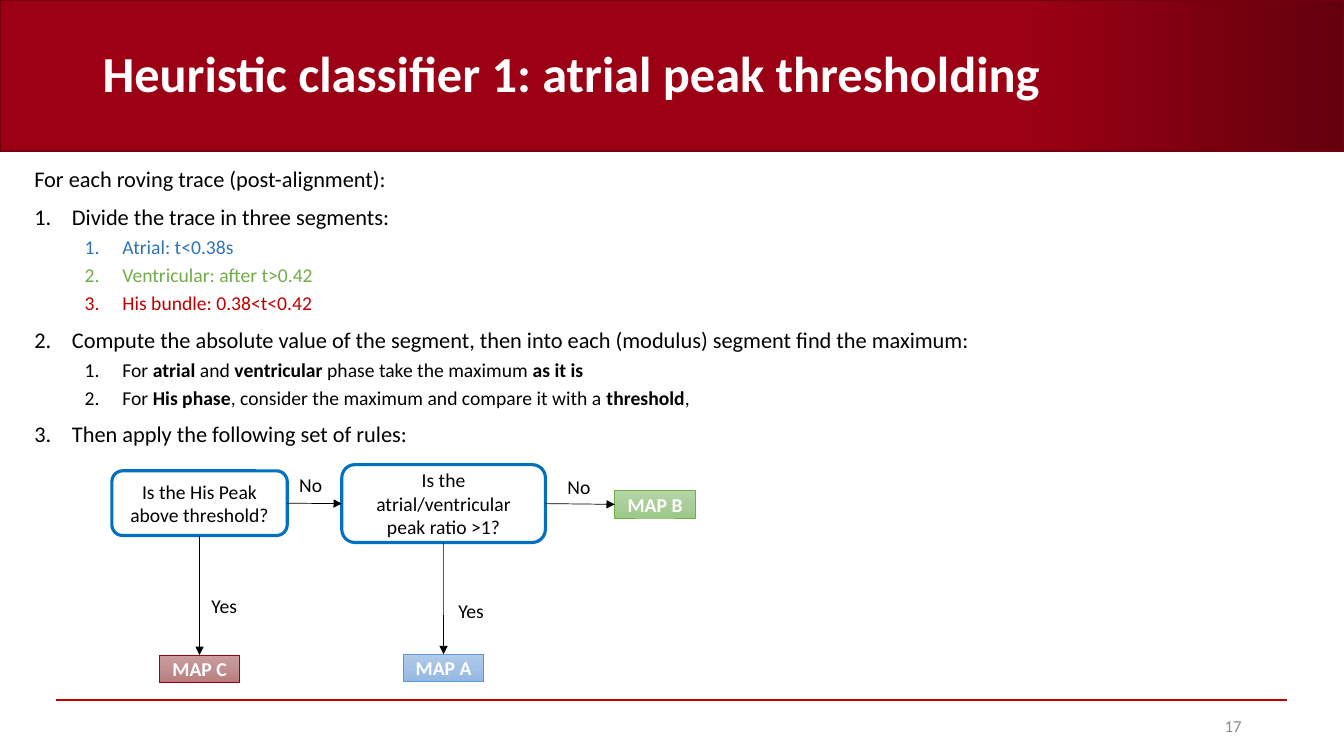
import collections

import lxml.etree
import pptx
import pptx.dml.color
import pptx.enum.shapes
import pptx.enum.text
import pptx.oxml.ns
import pptx.util

Cm = pptx.util.Cm
Pt = pptx.util.Pt
RGBColor = pptx.dml.color.RGBColor
ShapeType = pptx.enum.shapes.MSO_SHAPE
Align = pptx.enum.text.PP_ALIGN
Anchor = pptx.enum.text.MSO_ANCHOR
qn = pptx.oxml.ns.qn

Box = collections.namedtuple("Box", "left top width height")

FONT = "Calibri"
WHITE = RGBColor(0xFF, 0xFF, 0xFF)
BLACK = RGBColor(0x00, 0x00, 0x00)
GREY = RGBColor(0x8C, 0x8C, 0x8C)
BANNER_RED = RGBColor(0x9B, 0x00, 0x14)
BANNER_DARK = RGBColor(0x64, 0x00, 0x0C)
BANNER_EDGE = RGBColor(0x73, 0x00, 0x0F)
RED = RGBColor(0xC0, 0x00, 0x00)
GREEN = RGBColor(0x70, 0xAD, 0x47)
ATRIAL_BLUE = RGBColor(0x2E, 0x75, 0xB6)
QUESTION_BLUE = RGBColor(0x00, 0x70, 0xC0)
MAP_BLUE = RGBColor(0x5B, 0x9B, 0xD5)
BLUE_SHADES = [RGBColor(0xB1, 0xCB, 0xE9), RGBColor(0xA3, 0xC1, 0xE5), RGBColor(0x93, 0xB9, 0xE4)]
GREEN_SHADES = [RGBColor(0xB5, 0xD5, 0xA7), RGBColor(0xAA, 0xCE, 0x9A), RGBColor(0x9C, 0xC9, 0x87)]
RED_SHADES = [RGBColor(0xCC, 0x9D, 0x9E), RGBColor(0xC1, 0x90, 0x91), RGBColor(0xB9, 0x7C, 0x7D)]

TOP, LEFT, BOTTOM, RIGHT = range(4)

# Level (None for the unnumbered lead), colour, text with *bold* parts
STEPS = [
    (None, BLACK, "For each roving trace (post-alignment):"),
    (0, BLACK, "Divide the trace in three segments:"),
    (1, ATRIAL_BLUE, "Atrial: t<0.38s"),
    (1, GREEN, "Ventricular: after t>0.42"),
    (1, RED, "His bundle: 0.38<t<0.42"),
    (0, BLACK, "Compute the absolute value of the segment, then into each (modulus) segment find the maximum:"),
    (1, BLACK, "For *atrial* and *ventricular* phase take the maximum *as it is*"),
    (1, BLACK, "For *His phase*, consider the maximum and compare it with a *threshold*,"),
    (0, BLACK, "Then apply the following set of rules:"),
]


def place(shape, box):
    shape.left, shape.top, shape.width, shape.height = map(Cm, box)


def format_paragraph(paragraph, size, color, bold=None, alignment=Align.LEFT):
    font = paragraph.font
    font.name, font.size, font.bold = FONT, Pt(size), bold
    font.color.rgb = color
    paragraph.alignment = alignment


def set_gradient(shape, stops, angle):
    """Fill with (percent, colour) stops; the angle runs counterclockwise."""
    shape.fill.gradient()
    shape.fill.gradient_angle = angle
    stop_list = shape.element.spPr.find(qn("a:gradFill")).find(qn("a:gsLst"))
    for stop in list(stop_list):
        stop_list.remove(stop)
    for percent, color in stops:
        stop = lxml.etree.SubElement(stop_list, qn("a:gs"), pos=str(percent * 1000))
        lxml.etree.SubElement(stop, qn("a:srgbClr"), val=str(color))


def add_outlined(slide, kind, box, color, width):
    shape = slide.shapes.add_shape(kind, *map(Cm, box))
    shape.shadow.inherit = False
    shape.line.color.rgb = color
    shape.line.width = Pt(width)
    return shape


def add_line(slide, start, end, color, width):
    line = slide.shapes.add_connector(
        pptx.enum.shapes.MSO_CONNECTOR.STRAIGHT, *map(Cm, start + end))
    line.line.color.rgb = color
    line.line.width = Pt(width)
    lxml.etree.SubElement(line.element.spPr, qn("a:effectLst"))
    return line


def add_arrow(slide, source, source_side, target, target_side):
    arrow = add_line(slide, (0, 0), (0, 0), BLACK, 0.5)
    arrow.begin_connect(source, source_side)
    arrow.end_connect(target, target_side)
    lxml.etree.SubElement(arrow.line._get_or_add_ln(), qn("a:tailEnd"), type="triangle")


def add_text(slide, box, text, size, color, alignment=Align.LEFT, anchor=Anchor.TOP):
    frame = slide.shapes.add_textbox(*map(Cm, box)).text_frame
    frame.word_wrap = True
    frame.vertical_anchor = anchor
    frame.text = text
    format_paragraph(frame.paragraphs[0], size, color, alignment=alignment)


def add_banner(slide, box):
    banner = add_outlined(slide, ShapeType.RECTANGLE, box, BANNER_EDGE, 1)
    set_gradient(banner, [(76, BANNER_RED), (100, BANNER_DARK)], 0)

    title = slide.shapes.title
    slide.shapes.element.append(title.element)  # in front of the banner
    place(title, Box(box.left + 2.33, box.top + 0.58, 27.5, 2.7))
    title.text_frame.text = "Heuristic classifier 1: atrial peak thresholding"
    title.text_frame.vertical_anchor = Anchor.MIDDLE
    paragraph = title.text_frame.paragraphs[0]
    paragraph.line_spacing = 0.9
    format_paragraph(paragraph, 36, WHITE, bold=True)


def set_numbering(paragraph, level):
    properties = paragraph._p.get_or_add_pPr()
    indent = 0 if level is None else Cm(0.95)
    properties.set("marL", str(indent + Cm(1.27) * (level or 0)))
    properties.set("indent", str(-indent))
    if level is None:
        lxml.etree.SubElement(properties, qn("a:buNone"))
    else:
        lxml.etree.SubElement(properties, qn("a:buFont"), typeface="+mj-lt")
        lxml.etree.SubElement(properties, qn("a:buAutoNum"), type="arabicPeriod")


def fill_steps(body, box):
    place(body, box)
    frame = body.text_frame
    frame.auto_size = pptx.enum.text.MSO_AUTO_SIZE.NONE
    for index, (level, color, text) in enumerate(STEPS):
        paragraph = frame.add_paragraph() if index else frame.paragraphs[0]
        paragraph.level = level or 0
        paragraph.line_spacing = 0.9
        paragraph.space_before = Pt(5 if level else 10)
        set_numbering(paragraph, level)
        format_paragraph(paragraph, 14 if level else 16, color)
        for part, words in enumerate(text.split("*")):
            if words:
                run = paragraph.add_run()
                run.text = words
                if part % 2:
                    run.font.bold = True


def add_flowchart(slide, box):
    def add_node(kind, center, size, text, edge, edge_width, color, bold=None):
        (x, y), (width, height) = center, size
        node_box = Box(box.left + x - width / 2, box.top + y - height / 2, width, height)
        node = add_outlined(slide, kind, node_box, edge, edge_width)
        node.fill.background()
        node.text_frame.text = text
        node.text_frame.vertical_anchor = Anchor.MIDDLE
        format_paragraph(node.text_frame.paragraphs[0], 14, color, bold, Align.CENTER)
        return node

    def add_question(center, size, text):
        return add_node(ShapeType.ROUNDED_RECTANGLE, center, size, text, QUESTION_BLUE, 2.25, BLACK)

    def add_map(center, text, edge, shades):
        node = add_node(ShapeType.RECTANGLE, center, (2.03, 0.69), text, edge, 0.5, WHITE, True)
        set_gradient(node, zip((0, 50, 100), shades), 270)
        return node

    his_peak = add_question((2.21, 0.97), (4.42, 1.63), "Is the His Peak above threshold?")
    ratio = add_question((8.36, 0.98), (5.13, 1.96), "Is the atrial/ventricular peak ratio >1?")
    map_a = add_map((8.36, 5.12), "MAP A", MAP_BLUE, BLUE_SHADES)
    map_b = add_map((13.69, 1), "MAP B", GREEN, GREEN_SHADES)
    map_c = add_map((2.21, 5.14), "MAP C", BANNER_RED, RED_SHADES)

    add_arrow(slide, his_peak, RIGHT, ratio, LEFT)
    add_arrow(slide, his_peak, BOTTOM, map_c, TOP)
    add_arrow(slide, ratio, RIGHT, map_b, LEFT)
    add_arrow(slide, ratio, BOTTOM, map_a, TOP)
    for x, y, answer in [(4.47, 0.08, "No"), (11.23, 0.13, "No"),
                         (8.48, 3.25, "Yes"), (2.26, 3.12, "Yes")]:
        add_text(slide, Box(box.left + x, box.top + y, 1.4, 0.86), answer, 14, BLACK)


def add_footer(slide, box):
    add_line(slide, (box.left, box.top), (box.left + box.width, box.top), RED, 1.5)
    number_box = Box(box.left + box.width - 8.52, box.top + 0.15, 7.62, 1.02)
    add_text(slide, number_box, "17", 12, GREY, Align.RIGHT, Anchor.MIDDLE)


def main():
    presentation = pptx.Presentation()
    presentation.slide_width, presentation.slide_height = Cm(33.87), Cm(19.05)
    slide = presentation.slides.add_slide(presentation.slide_layouts[1])
    add_banner(slide, Box(0, 0, 33.87, 3.81))
    fill_steps(slide.placeholders[1], Box(0.61, 4.11, 27.08, 11.46))
    add_flowchart(slide, Box(2.82, 11.71, 14.71, 5.5))
    add_footer(slide, Box(1.42, 17.63, 31.02, 1.2))
    presentation.save("out.pptx")


if __name__ == "__main__":
    main()
